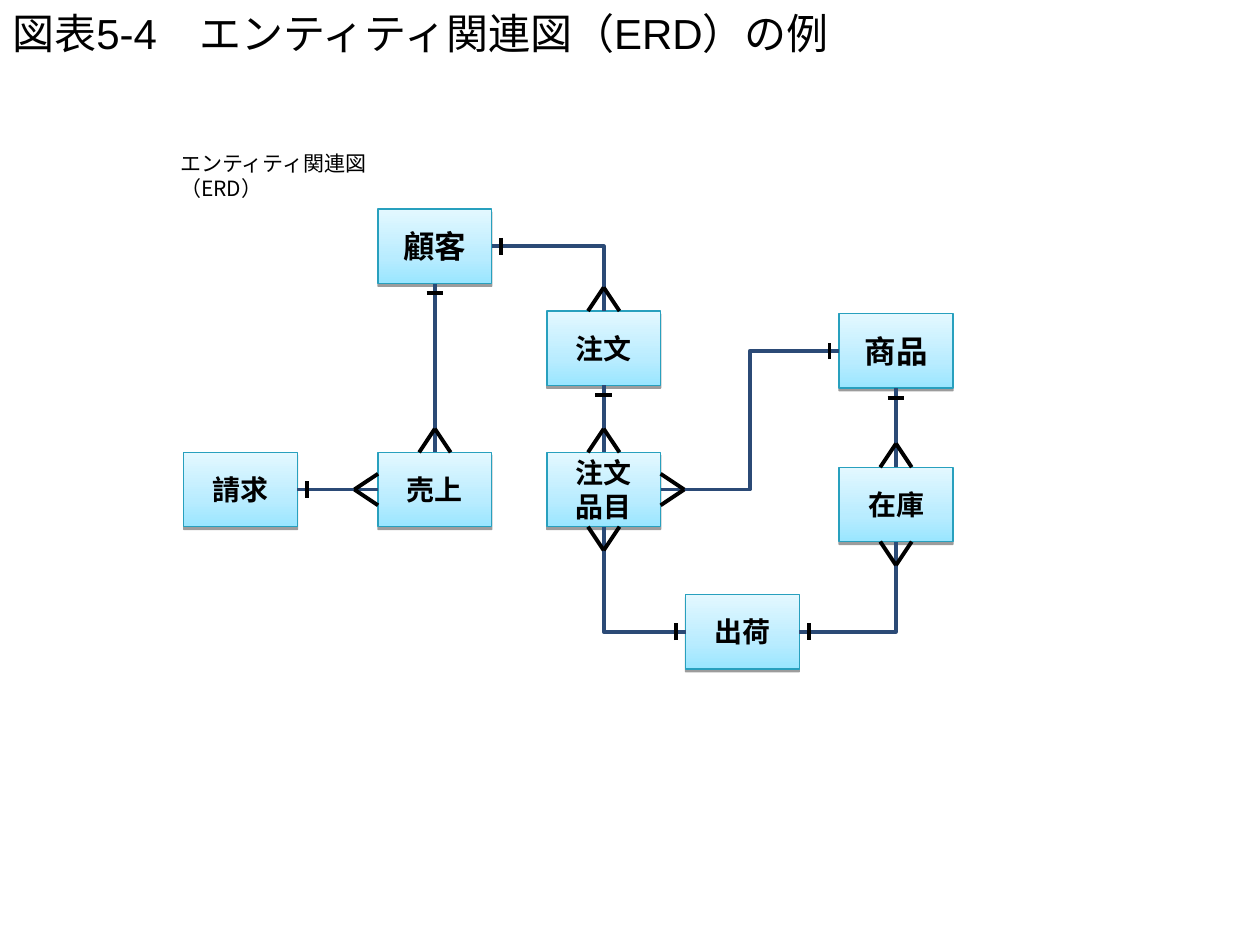
from copy import deepcopy
from dataclasses import dataclass

from lxml import etree
from pptx import Presentation
from pptx.dml.color import RGBColor
from pptx.enum.shapes import MSO_CONNECTOR, MSO_SHAPE
from pptx.enum.text import MSO_ANCHOR, MSO_AUTO_SIZE, PP_ALIGN
from pptx.oxml.ns import qn
from pptx.util import Pt

PROCESS = MSO_SHAPE.FLOWCHART_PROCESS
STRAIGHT, ELBOW = MSO_CONNECTOR.STRAIGHT, MSO_CONNECTOR.ELBOW
MIDDLE, CENTER, LEFT_ALIGN = MSO_ANCHOR.MIDDLE, PP_ALIGN.CENTER, PP_ALIGN.LEFT
GROW = MSO_AUTO_SIZE.SHAPE_TO_FIT_TEXT
TOP, LEFT, BOTTOM, RIGHT = range(4)
OUTWARD = {TOP: (0, -1), LEFT: (-1, 0), BOTTOM: (0, 1), RIGHT: (1, 0)}

BOX_W, BOX_H = 65, 42.5
BAR_GAP, BAR_HALF = 5.5, 4.75
FOOT_LENGTH, FOOT_HALF = 13.5, 9
LINE_W = 2.25
BLACK, LINK_COLOR, BORDER = "000000", "2B4A76", "28A0BE"
GRADIENT = [(0, "99E6FF"), (0.35, "B9ECFF"), (1, "E3F8FF")]
CJK_FONT = "Noto Sans CJK JP"


@dataclass
class Entity:
    name: str
    x: float
    y: float
    size: float = 16


@dataclass
class Relation:
    one: str
    one_side: int
    many: str
    many_side: int
    route: str = "line"


ENTITIES = [
    Entity("顧客", 216, 119.5, 18),
    Entity("商品", 479.5, 179.25, 18),
    Entity("注文", 312.5, 177.75),
    Entity("出荷", 391.75, 339.75),
    Entity("請求", 105, 258.5),
    Entity("売上", 216, 258.5),
    Entity("注文\n品目", 312.5, 258.5),
    Entity("在庫", 479.5, 267),
]
RELATIONS = [
    Relation("顧客", RIGHT, "注文", TOP, "bentConnector2"),
    Relation("顧客", BOTTOM, "売上", TOP),
    Relation("請求", RIGHT, "売上", LEFT),
    Relation("注文", BOTTOM, "注文\n品目", TOP),
    Relation("商品", LEFT, "注文\n品目", RIGHT, "bentConnector3"),
    Relation("商品", BOTTOM, "在庫", TOP),
    Relation("出荷", LEFT, "注文\n品目", BOTTOM, "bentConnector2"),
    Relation("出荷", RIGHT, "在庫", BOTTOM, "bentConnector2"),
]


def rgb(color: str) -> RGBColor:
    return RGBColor.from_string(color)


def write(tf, text: str, size: float, font: str, bold: bool = False, align=LEFT_ALIGN) -> None:
    tf.text = text
    for p in tf.paragraphs:
        p.alignment = align
        p.font.name = font
        p.font.size = Pt(size)
        p.font.bold = bold
        p.font.color.rgb = rgb(BLACK)
        etree.SubElement(p.font._rPr, qn("a:ea"), typeface=CJK_FONT)


def add_text(s, text: str, x: float, y: float, w: float, h: float, size: float, font: str):
    tf = s.shapes.add_textbox(Pt(x), Pt(y), Pt(w), Pt(h)).text_frame
    tf.word_wrap = True
    write(tf, text, size, font)
    return tf


def add_entity(s, entity: Entity):
    sp = s.shapes.add_shape(PROCESS, Pt(entity.x), Pt(entity.y), Pt(BOX_W), Pt(BOX_H))
    sp.fill.gradient()
    sp.fill.gradient_angle = 90
    stops = sp._element.spPr.find(qn("a:gradFill")).find(qn("a:gsLst"))
    stops.append(deepcopy(stops[0]))
    for stop, (position, color) in zip(sp.fill.gradient_stops, GRADIENT):
        stop.position = position
        stop.color.rgb = rgb(color)
    sp.line.color.rgb = rgb(BORDER)
    sp.line.width = Pt(0.75)
    sp.shadow.inherit = False
    effects = sp._element.spPr.find(qn("a:effectLst"))
    shadow = etree.SubElement(effects, qn("a:outerShdw"), blurRad="0", dist=str(Pt(1.6)),
                              dir="5400000", rotWithShape="0")
    shade = etree.SubElement(shadow, qn("a:srgbClr"), val=BLACK)
    etree.SubElement(shade, qn("a:alpha"), val="38000")
    sp.text_frame.vertical_anchor = MIDDLE
    write(sp.text_frame, entity.name, entity.size, CJK_FONT, True, CENTER)
    return sp


def add_line(s, start: tuple, end: tuple, color: str, route: str = "line"):
    kind = STRAIGHT if route == "line" else ELBOW
    line = s.shapes.add_connector(kind, *(Pt(v) for v in (*start, *end)))
    line._element.spPr.find(qn("a:prstGeom")).set("prst", route)
    line.line.color.rgb = rgb(color)
    line.line.width = Pt(LINE_W)
    etree.SubElement(line._element.spPr, qn("a:effectLst"))
    return line


def site(entity: Entity, side: int, out: float = 0, across: float = 0) -> tuple:
    dx, dy = OUTWARD[side]
    return (entity.x + BOX_W / 2 * (1 + dx) + dx * out + dy * across,
            entity.y + BOX_H / 2 * (1 + dy) + dy * out + dx * across)


def add_bar(s, entity: Entity, side: int) -> None:
    add_line(s, site(entity, side, BAR_GAP, -BAR_HALF), site(entity, side, BAR_GAP, BAR_HALF), BLACK)


def add_crow_foot(s, entity: Entity, side: int) -> None:
    for across in (-FOOT_HALF, FOOT_HALF):
        add_line(s, site(entity, side, FOOT_LENGTH), site(entity, side, 0, across), BLACK)


def main() -> None:
    prs = Presentation()
    prs.slide_width, prs.slide_height = Pt(720), Pt(540)
    s = prs.slides.add_slide(prs.slide_layouts[6])

    title = add_text(s, "図表5-4　エンティティ関連図（ERD）の例", 0, 0, 720, 37.5, 24, "Arial")
    title.vertical_anchor = MIDDLE
    caption = add_text(s, "エンティティ関連図（ERD）", 100, 83, 138, 20, 12, CJK_FONT)
    caption.margin_left = caption.margin_right = Pt(3)
    caption.margin_top = caption.margin_bottom = Pt(3)
    caption.auto_size = GROW

    entities = {entity.name: entity for entity in ENTITIES}
    boxes = {entity.name: add_entity(s, entity) for entity in ENTITIES}
    for rel in RELATIONS:
        one, many = entities[rel.one], entities[rel.many]
        link = add_line(s, site(one, rel.one_side), site(many, rel.many_side), LINK_COLOR, rel.route)
        link.begin_connect(boxes[rel.one], rel.one_side)
        link.end_connect(boxes[rel.many], rel.many_side)
        add_bar(s, one, rel.one_side)
        add_crow_foot(s, many, rel.many_side)

    prs.save("out.pptx")


if __name__ == "__main__":
    main()
